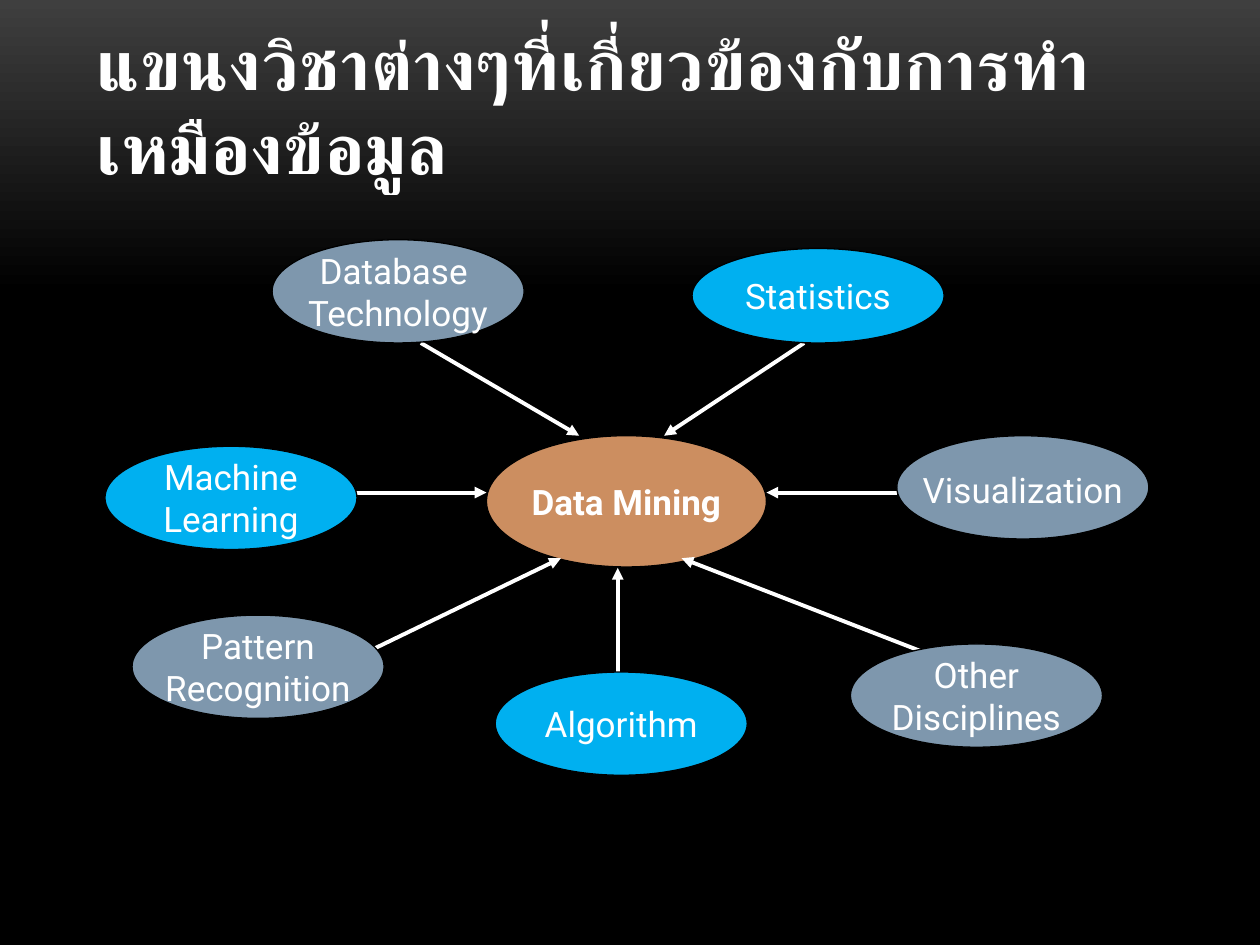
from lxml import etree
from pptx import Presentation
from pptx import util as u
from pptx.dml.color import RGBColor
from pptx.enum import shapes, text
from pptx.oxml import ns

COLORS = {"white": "FFFFFF", "black": "000000", "top": "3F3F3F",
          "center": "CC8E60", "blue": "00B0F0", "gray": "7E97AD"}
FONT = "Roboto"
TITLE = "แขนงวิชาต่างๆที่เกี่ยวข้องกับการทำเหมืองข้อมูล"
FIELD_WIDTH = 144

# label, left, top, height, color; lengths are relative to the diagram
FIELDS = [
    ("Database \nTechnology", 95.5, 0, 59, "gray"),
    ("Statistics", 335.5, 5, 54, "blue"),
    ("Machine\nLearning", 0, 118, 59, "blue"),
    ("Pattern\nRecognition", 15.5, 214.5, 59, "gray"),
    ("Algorithm", 223, 247, 59, "blue"),
    ("Other\nDisciplines", 426, 231, 59, "gray"),
    ("Visualization", 452.5, 112, 59, "gray"),
]
# start x, start y, end x, end y
ARROWS = [
    (143, 144.5, 218, 144.5),
    (180.5, 59, 271, 112),
    (399.5, 59, 319.5, 112),
    (452.5, 144.5, 378, 144.5),
    (468.5, 236, 329.5, 182),
    (149, 236, 260.5, 182),
    (293, 247, 293, 187.5),
]


def color(name):
    return RGBColor.from_string(COLORS[name])


def format_text(text_frame, size, bold=False, alignment=None):
    for paragraph in text_frame.paragraphs:
        paragraph.alignment = alignment
        for run in paragraph.runs:
            run.font.name = FONT
            run.font.size = u.Pt(size)
            run.font.bold = bold
            run.font.color.rgb = color("white")


def paint_background(slide):
    fill = slide.background.fill
    fill.gradient()
    fill.gradient_angle = 270
    for stop, (position, name) in zip(fill.gradient_stops, [(0, "top"), (0.31, "black")]):
        stop.position = position
        stop.color.rgb = color(name)


def add_title(slide, left, top, width, height):
    box = slide.shapes.add_textbox(u.Pt(left), u.Pt(top), u.Pt(width), u.Pt(height))
    text_frame = box.text_frame
    text_frame.word_wrap = True
    text_frame.vertical_anchor = text.MSO_ANCHOR.BOTTOM
    text_frame.text = TITLE
    format_text(text_frame, 40, bold=True)
    properties = text_frame.paragraphs[0].runs[0].font._element
    properties.set("spc", "50")
    etree.SubElement(properties, ns.qn("a:cs"), typeface=FONT)


def add_ellipse(slide, label, left, top, width, height, fill, bold=False):
    shape = slide.shapes.add_shape(shapes.MSO_SHAPE.OVAL, u.Pt(left), u.Pt(top),
                                   u.Pt(width), u.Pt(height))
    shape.shadow.inherit = False
    shape.fill.solid()
    shape.fill.fore_color.rgb = color(fill)
    shape.line.color.rgb = color("black")
    shape.line.width = u.Pt(0.75)
    text_frame = shape.text_frame
    text_frame.word_wrap = False
    text_frame.vertical_anchor = text.MSO_ANCHOR.MIDDLE
    text_frame.text = label
    format_text(text_frame, 20, bold, text.PP_ALIGN.CENTER)
    return shape


def add_arrow(slide, start_x, start_y, end_x, end_y):
    arrow = slide.shapes.add_connector(shapes.MSO_CONNECTOR.STRAIGHT, u.Pt(start_x),
                                       u.Pt(start_y), u.Pt(end_x), u.Pt(end_y))
    arrow.line.color.rgb = color("white")
    arrow.line.width = u.Pt(2.25)
    etree.SubElement(arrow.line._get_or_add_ln(), ns.qn("a:tailEnd"), type="triangle")
    etree.SubElement(arrow._element.spPr, ns.qn("a:effectLst"))


def add_diagram(slide, left, top):
    add_ellipse(slide, "Data Mining", left + 218, top + 112, 160, 75, "center", bold=True)
    for start_x, start_y, end_x, end_y in ARROWS:
        add_arrow(slide, left + start_x, top + start_y, left + end_x, top + end_y)
    for label, x, y, height, fill in FIELDS:
        shape = add_ellipse(slide, label, left + x, top + y, FIELD_WIDTH, height, fill)
        if label == "Visualization":
            paragraph = shape.text_frame.paragraphs[0]
            paragraph.line_spacing = 1.1
            paragraph.space_before = u.Pt(4)


def main():
    presentation = Presentation()
    presentation.slide_width = u.Pt(720)
    presentation.slide_height = u.Pt(540)
    slide = presentation.slides.add_slide(presentation.slide_layouts[6])
    paint_background(slide)
    add_title(slide, 48, 21.5, 624, 90)
    add_diagram(slide, 60, 137)
    presentation.save("out.pptx")


if __name__ == "__main__":
    main()
